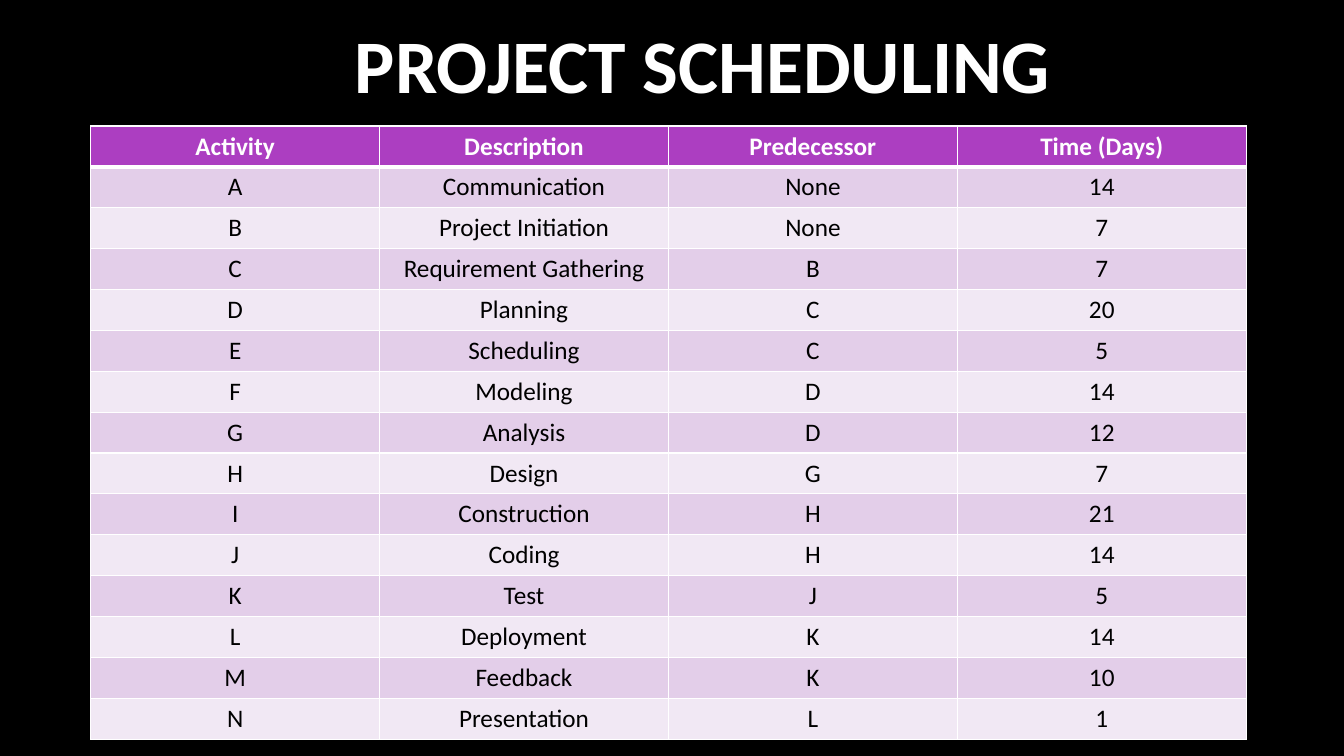
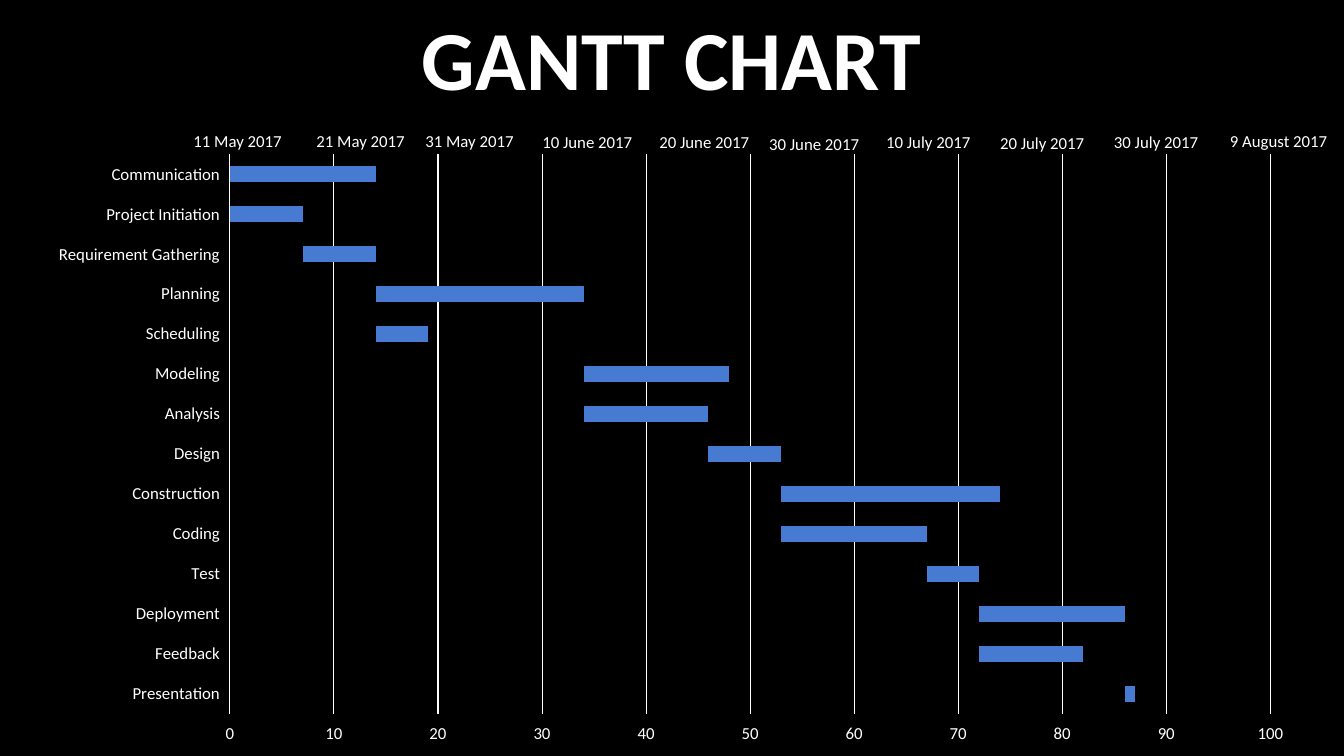
import pptx
import pptx.chart.data
import pptx.dml.color
import pptx.enum.chart
import pptx.enum.text
import pptx.oxml
import pptx.oxml.ns
import pptx.util

Inches = pptx.util.Inches
Pt = pptx.util.Pt
RGBColor = pptx.dml.color.RGBColor
ALIGN = pptx.enum.text.PP_ALIGN
ANCHOR = pptx.enum.text.MSO_ANCHOR

# Content
SCHEDULE_TITLE = "PROJECT SCHEDULING"
GANTT_TITLE = "GANTT CHART"
HEADINGS = ("Activity", "Description", "Predecessor", "Time (Days)")
ACTIVITIES = [
    ("A", "Communication", "None", 14),
    ("B", "Project Initiation", "None", 7),
    ("C", "Requirement Gathering", "B", 7),
    ("D", "Planning", "C", 20),
    ("E", "Scheduling", "C", 5),
    ("F", "Modeling", "D", 14),
    ("G", "Analysis", "D", 12),
    ("H", "Design", "G", 7),
    ("I", "Construction", "H", 21),
    ("J", "Coding", "H", 14),
    ("K", "Test", "J", 5),
    ("L", "Deployment", "K", 14),
    ("M", "Feedback", "K", 10),
    ("N", "Presentation", "L", 1),
]
# Date, left, top, width
DATES = [
    ("11 May 2017", 1.82, 1.25, 1.09),
    ("21 May 2017", 3.04, 1.25, 1.09),
    ("31 May 2017", 4.12, 1.25, 1.09),
    ("10 June 2017", 5.28, 1.26, 1.11),
    ("20 June 2017", 6.44, 1.26, 1.11),
    ("30 June 2017", 7.53, 1.28, 1.11),
    ("10 July 2017", 8.69, 1.26, 1.05),
    ("20 July 2017", 9.82, 1.27, 1.05),
    ("30 July 2017", 10.95, 1.26, 1.05),
    ("9 August 2017", 12.1, 1.25, 1.18),
]

# Shared style
FONT = "Calibri"
BLACK = RGBColor(0x00, 0x00, 0x00)
WHITE = RGBColor(0xFF, 0xFF, 0xFF)
PURPLE = RGBColor(0xAC, 0x3E, 0xC1)
LILAC = RGBColor(0xE3, 0xCE, 0xE9)
PALE_LILAC = RGBColor(0xF1, 0xE8, 0xF4)
BAR_BLUE = RGBColor(0x47, 0x7B, 0xD1)
SPARE_GREEN = RGBColor(0x46, 0xB2, 0x98)


def style_font(font, size, color, bold=False):
    font.name = FONT
    font.size = Pt(size)
    font.bold = bold
    font.color.rgb = color


def write_text(frame, text, size=12, color=WHITE, bold=False,
               align=ALIGN.LEFT, wrap=True):
    frame.word_wrap = wrap
    paragraph = frame.paragraphs[0]
    paragraph.alignment = align
    run = paragraph.add_run()
    run.text = text
    style_font(run.font, size, color, bold)


def add_titled_slide(presentation, text, left, height, size, indent=0.1):
    slide = presentation.slides.add_slide(presentation.slide_layouts[5])
    title = slide.shapes.title
    title.left, title.top = Inches(left), Inches(0)
    title.width, title.height = Inches(11.08), Inches(height)
    frame = title.text_frame
    frame.auto_size = pptx.enum.text.MSO_AUTO_SIZE.NONE
    frame.vertical_anchor = ANCHOR.MIDDLE
    frame.margin_left = Inches(indent)
    write_text(frame, text, size=size, bold=True, align=ALIGN.CENTER)
    return slide


def set_borders(cell, **widths):
    properties = cell._tc.get_or_add_tcPr()
    for side in "LRTB":
        line = pptx.oxml.parse_xml(
            f'<a:ln{side} {pptx.oxml.ns.nsdecls("a")} w="{Pt(widths.get(side, 1))}">'
            f'<a:solidFill><a:srgbClr val="{WHITE}"/></a:solidFill></a:ln{side}>')
        properties.append(line)


def add_schedule_table(slide):
    rows = [HEADINGS] + ACTIVITIES
    table = slide.shapes.add_table(
        len(rows), len(HEADINGS), Inches(0.9), Inches(1.25),
        Inches(11.46), Inches(0.4 * len(rows))).table
    for row_index, row in enumerate(rows):
        heading = row_index == 0
        fill = PURPLE if heading else (PALE_LILAC, LILAC)[row_index % 2]
        for column_index, value in enumerate(row):
            cell = table.cell(row_index, column_index)
            set_borders(cell, B=3 if heading else 1, T=3 if row_index == 1 else 1)
            cell.fill.solid()
            cell.fill.fore_color.rgb = fill
            write_text(cell.text_frame, str(value), size=18, bold=heading,
                       color=WHITE if heading else BLACK, align=ALIGN.CENTER)


def start_days():
    """Each activity starts when its predecessor ends."""
    finish = {"None": 0}
    starts = []
    for activity, _, predecessor, days in ACTIVITIES:
        starts.append(finish[predecessor])
        finish[activity] = starts[-1] + days
    return starts


def add_gantt_chart(slide):
    data = pptx.chart.data.CategoryChartData()
    data.categories = [activity[1] for activity in ACTIVITIES]
    data.add_series("Series 1", start_days())
    data.add_series("Series 2", [activity[3] for activity in ACTIVITIES])
    data.add_series("Series 3", [None] * len(ACTIVITIES))
    chart = slide.shapes.add_chart(
        pptx.enum.chart.XL_CHART_TYPE.BAR_STACKED, Inches(0.33), Inches(1.41),
        Inches(12.65), Inches(6.09), data).chart
    chart.has_legend = False
    chart.has_title = False
    style_font(chart.font, 10, WHITE)

    # Bars: the first series only offsets the second, the third is empty
    plot = chart.plots[0]
    plot.gap_width = 150
    plot.overlap = 100
    plot.vary_by_categories = False
    offset, duration, spare = plot.series
    offset.format.fill.background()
    for series, color in ((duration, BAR_BLUE), (spare, SPARE_GREEN)):
        series.format.fill.solid()
        series.format.fill.fore_color.rgb = color

    # Axes: first activity on top, day numbers at the bottom
    for axis in (chart.category_axis, chart.value_axis):
        style_font(axis.tick_labels.font, 12, WHITE)
        axis.format.line.fill.background()
        axis.major_tick_mark = pptx.enum.chart.XL_TICK_MARK.OUTSIDE
    chart.category_axis.reverse_order = True
    days = chart.value_axis
    days.tick_label_position = pptx.enum.chart.XL_TICK_LABEL_POSITION.HIGH
    days.minimum_scale, days.maximum_scale, days.major_unit = 0, 100, 10
    days.has_major_gridlines = True
    gridline = days.major_gridlines.format.line
    gridline.width = Pt(0.75)
    gridline.color.rgb = WHITE


def add_dates(slide):
    for date, left, top, width in DATES:
        box = slide.shapes.add_textbox(
            Inches(left), Inches(top), Inches(width), Inches(0.3))
        box.text_frame.auto_size = pptx.enum.text.MSO_AUTO_SIZE.SHAPE_TO_FIT_TEXT
        write_text(box.text_frame, date, wrap=False)


presentation = pptx.Presentation()
presentation.slide_width = Inches(13.33)
presentation.slide_height = Inches(7.5)
background = presentation.slide_master.background.fill
background.solid()
background.fore_color.rgb = BLACK

# Slide 1: activities
schedule_slide = add_titled_slide(
    presentation, SCHEDULE_TITLE, left=1.09, height=1.26, size=54, indent=0.78)
add_schedule_table(schedule_slide)

# Slide 2: timeline
gantt_slide = add_titled_slide(
    presentation, GANTT_TITLE, left=1.12, height=1.13, size=60)
add_gantt_chart(gantt_slide)
add_dates(gantt_slide)

presentation.save("out.pptx")
